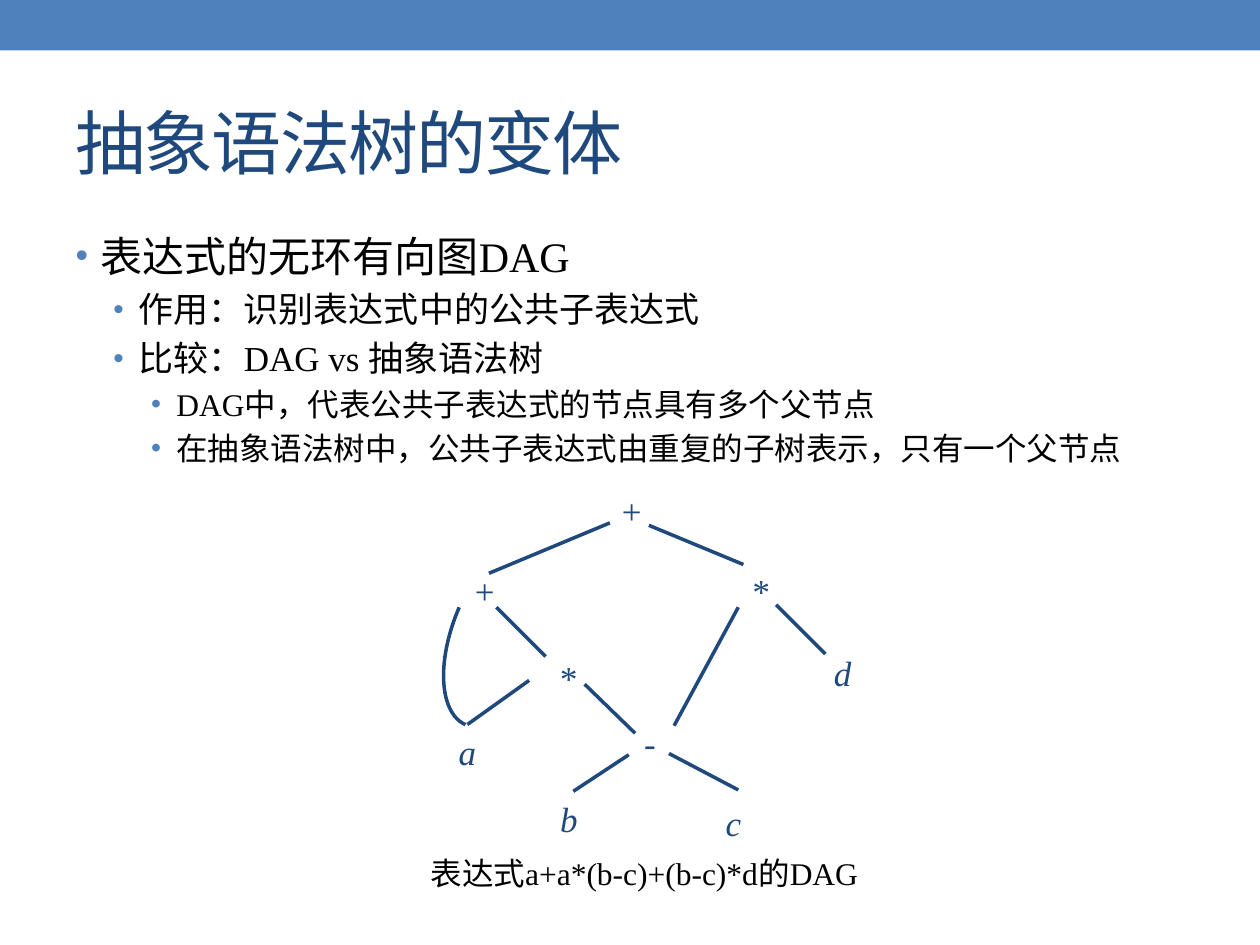
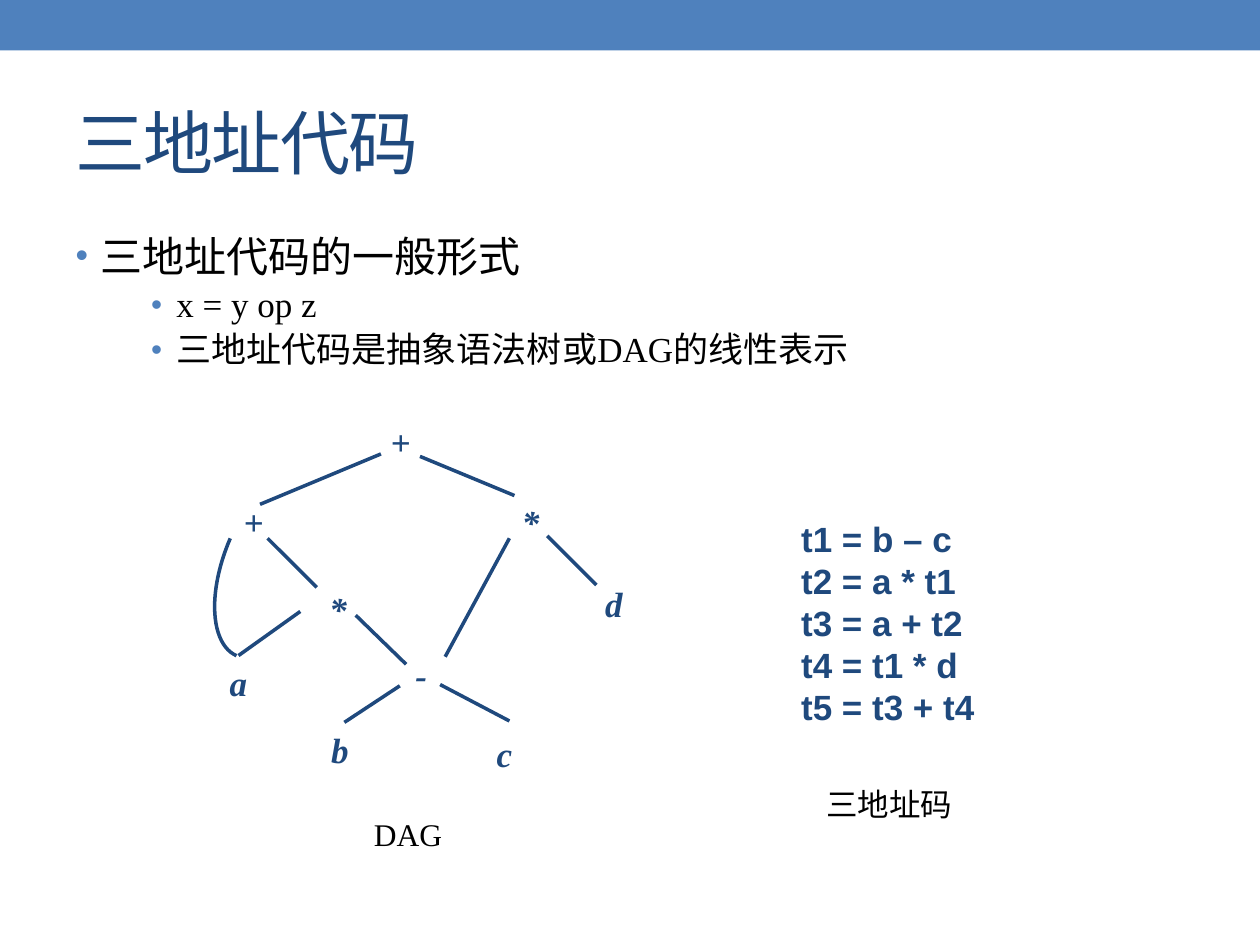
"""Build two compiler-course slides on expression DAGs and three-address code."""
from lxml import etree
from pptx import Presentation
from pptx.dml.color import RGBColor
from pptx.enum import shapes, text
from pptx.oxml import ns
from pptx.util import Pt

BLUE, NAVY, BLACK = "4F81BD", "1F497D", "000000"
SANS, SERIF, CJK = "Arial", "Times New Roman", "Noto Sans CJK SC"
INDENT = 14.4
LEVEL_LEFT = (14.4, 36, 57.6)
BULLET_SIZE = (85, 85, 90)
LABEL_HEIGHT = 31.5

DAG_NODES = [
    ("+", 92, 0, 28), ("+", 8, 46, 28), ("*", 167, 46, 24.5),
    ("*", 57, 95.5, 24.5), ("d", 214.5, 92.5, 24.5), ("-", 106, 133, 21),
    ("a", 0, 138, 24.5), ("b", 58, 176, 24.5), ("c", 152.5, 178.5, 24),
]
DAG_EDGES = [
    (93.5, 22.8, 24.4, 51.6), (115.8, 24.2, 169.8, 46.6),
    (28.7, 71, 56.8, 99.1), (166.9, 71, 130.2, 138.7),
    (188.5, 69.6, 216.6, 97.7), (47.4, 112.8, 12.1, 138),
    (79.1, 115, 107.9, 143), (104.3, 155.3, 72.6, 176.2),
    (127.3, 154.6, 166.9, 175.4),
]


def color(hex_code):
    """Turn a hex string into a colour."""
    return RGBColor.from_string(hex_code)


def child(parent, tag, **attributes):
    """Append a DrawingML element to a parent."""
    return etree.SubElement(parent, ns.qn(f"a:{tag}"), attributes)


def style_run(run, size, font=SERIF, fill=BLACK, bold=False, italic=False, asian=SANS):
    """Format one run, with its East Asian font."""
    run.font.size, run.font.name = Pt(size), font
    run.font.bold, run.font.italic = bold, italic
    run.font.color.rgb = color(fill)
    child(run.font._element, "ea", typeface=asian)


def place(item, left, top, width, height):
    """Move and size a shape in points."""
    item.left, item.top = Pt(left), Pt(top)
    item.width, item.height = Pt(width), Pt(height)


def add_band(prs, slide):
    """Put the blue top band on the slide master."""
    band = slide.shapes.add_shape(
        shapes.MSO_SHAPE.RECTANGLE, 0, 0, prs.slide_width, Pt(28.8))
    band.shadow.inherit = False
    band.fill.solid()
    band.fill.fore_color.rgb = color(BLUE)
    band.line.fill.background()
    band.element.nvSpPr.cNvPr.set("id", "20")
    prs.slide_master.element.cSld.spTree.insert(2, band.element)


def set_title(slide, wording):
    """Fill and format the title placeholder."""
    title = slide.shapes.title
    place(title, 36, 41.8, 648, 77.8)
    frame = title.text_frame
    frame.text = wording
    frame.vertical_anchor = text.MSO_ANCHOR.MIDDLE
    frame.paragraphs[0].alignment = text.PP_ALIGN.LEFT
    run = frame.paragraphs[0].runs[0]
    style_run(run, 40, CJK, NAVY, asian=CJK)
    run.font._element.set("spc", "-100")


def set_bullet(paragraph, level):
    """Give a paragraph its level, indent and round bullet."""
    paragraph.level = level
    properties = paragraph._p.get_or_add_pPr()
    properties.set("marL", str(Pt(LEVEL_LEFT[level])))
    properties.set("indent", str(-Pt(INDENT)))
    child(child(properties, "buClr"), "srgbClr", val=BLUE)
    child(properties, "buSzPct", val=str(BULLET_SIZE[level] * 1000))
    child(properties, "buFont", typeface=SANS)
    child(properties, "buChar", char="•")


def set_body(slide, items):
    """Fill the body with (level, size, line spacing, runs) items."""
    body = slide.placeholders[1]
    place(body, 36, 128, 648, 382)
    frame = body.text_frame
    frame.auto_size = text.MSO_AUTO_SIZE.NONE
    for number, (level, size, spacing, pieces) in enumerate(items):
        paragraph = frame.add_paragraph() if number else frame.paragraphs[0]
        set_bullet(paragraph, level)
        paragraph.line_spacing = spacing
        if number == 0:
            paragraph.space_before = Pt(0)
        for wording, font in pieces:
            run = paragraph.add_run()
            run.text = wording
            style_run(run, size, font)


def add_text(parent, wording, box, size, wrap=False, **style):
    """Add a text box to a slide's or group's shapes."""
    frame = parent.add_textbox(*map(Pt, box)).text_frame
    frame.text = wording
    frame.word_wrap = wrap
    frame.auto_size = text.MSO_AUTO_SIZE.SHAPE_TO_FIT_TEXT
    for paragraph in frame.paragraphs:
        style_run(paragraph.runs[0], size, **style)


def style_line(line):
    """Apply the graph's line style."""
    line.color.rgb = color(NAVY)
    line.width = Pt(2)


def add_dag(slide, left, top, bold, caption, caption_box, wrap=False):
    """Draw the expression DAG as a group with its caption."""
    graph = slide.shapes.add_group_shape().shapes
    for x1, y1, x2, y2 in DAG_EDGES:
        edge = graph.add_connector(
            shapes.MSO_CONNECTOR.STRAIGHT,
            Pt(left + x1), Pt(top + y1), Pt(left + x2), Pt(top + y2))
        style_line(edge.line)
        child(edge._element.spPr, "effectLst")
    shared_edge = graph.add_shape(
        shapes.MSO_SHAPE.ARC, Pt(left + 4.9), Pt(top + 22.8), Pt(59.8), Pt(120.2))
    shared_edge.rotation = 203.4
    shared_edge.shadow.inherit = False
    shared_edge.fill.background()
    style_line(shared_edge.line)
    for symbol, x, y, width in DAG_NODES:
        add_text(graph, symbol, (left + x, top + y, width, LABEL_HEIGHT), 20,
                 fill=NAVY, bold=bold, italic=True)
    add_text(graph, caption, caption_box, 18, wrap)


def add_slide(prs, title, items):
    """Add a slide with a title and a bullet list."""
    slide = prs.slides.add_slide(prs.slide_layouts[1])
    set_title(slide, title)
    set_body(slide, items)
    return slide


def main():
    """Build and save the presentation."""
    prs = Presentation()
    prs.slide_width, prs.slide_height = Pt(720), Pt(540)

    variants = add_slide(prs, "抽象语法树的变体", [
        (0, 24, None, [("表达式的无环有向图", SANS), ("DAG", SERIF)]),
        (1, 20, None, [("作用：识别表达式中的公共子表达式", SANS)]),
        (1, 20, None, [("比较：", SANS), ("DAG vs ", SERIF), ("抽象语法树", SANS)]),
        (2, 18, None, [("DAG", SERIF), ("中，代表公共子表达式的节点具有多个父节点", SANS)]),
        (2, 18, None, [("在抽象语法树中，公共子表达式由重复的子树表示，只有一个父节点", SANS)]),
    ])
    add_band(prs, variants)
    add_dag(variants, 255, 276, False, "表达式a+a*(b-c)+(b-c)*d的DAG",
            (239, 484.6, 265, 28.8), wrap=True)

    three_address = add_slide(prs, "三地址代码", [
        (0, 24, None, [("三地址代码的一般形式", CJK)]),
        (2, 20, 0.9, [("x = y op z", SERIF)]),
        (2, 20, 0.9, [("三地址代码是抽象语法树或", SANS), ("DAG", SERIF),
                      ("的线性表示", SANS)]),
    ])
    add_dag(three_address, 124.2, 236.6, True, "DAG", (206.6, 462.2, 54, 28.8))
    code = "t1 = b – c\nt2 = a * t1\nt3 = a + t2\nt4 = t1 * d\nt5 = t3 + t4"
    add_text(three_address.shapes, code, (450.7, 292.3, 124.6, 128.2), 20, True,
             font=SANS, fill=NAVY, bold=True)
    add_text(three_address.shapes, "三地址码", (465.1, 445, 87.1, 28.8), 18)

    prs.save("out.pptx")


if __name__ == "__main__":
    main()
